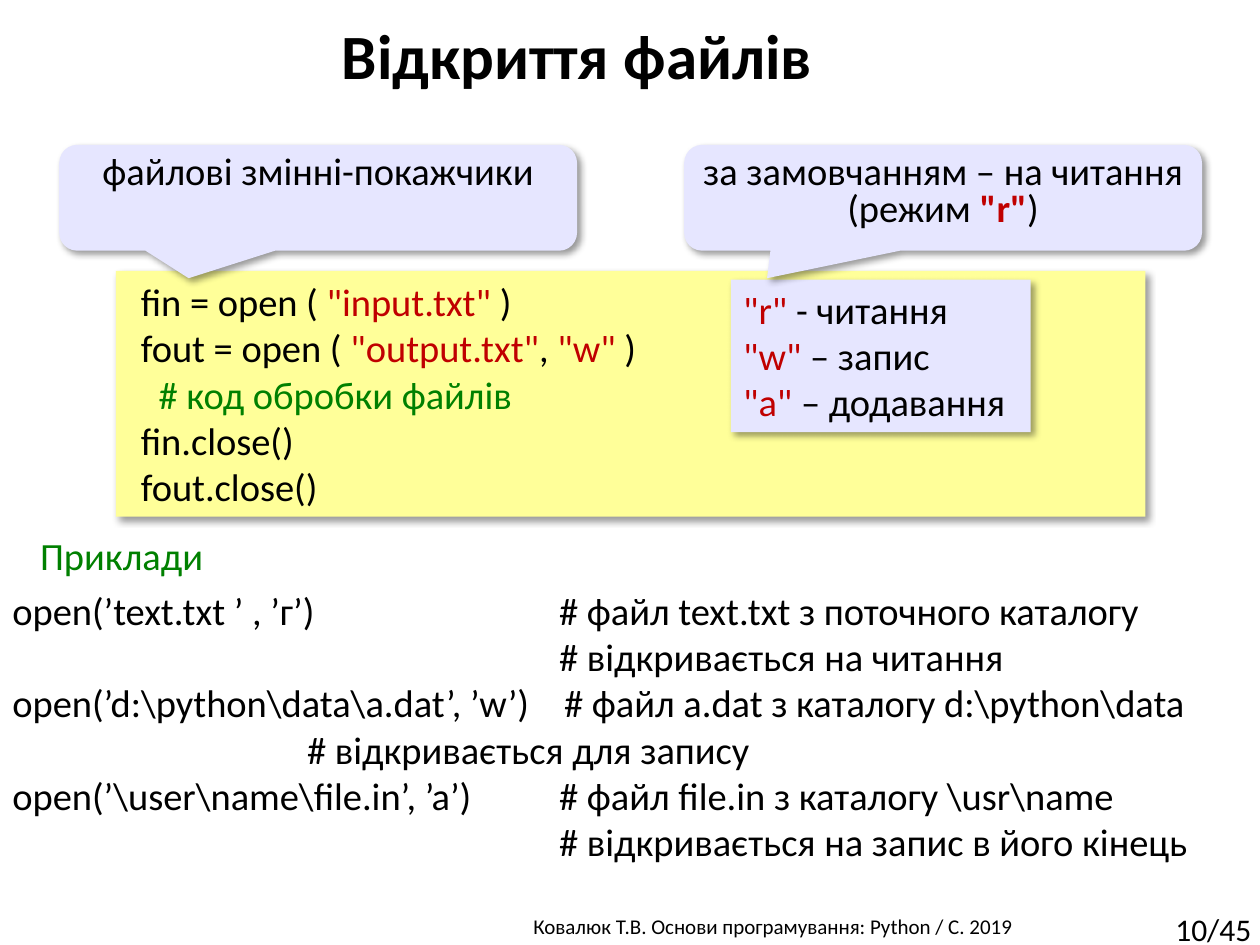
import pptx
import pptx.dml.color
import pptx.enum.shapes
import pptx.enum.text
import pptx.oxml.ns
import pptx.util
from lxml import etree

Inches = pptx.util.Inches
Pt = pptx.util.Pt
SHAPE = pptx.enum.shapes.MSO_SHAPE
ALIGN = pptx.enum.text.PP_ALIGN
ANCHOR = pptx.enum.text.MSO_ANCHOR
qn = pptx.oxml.ns.qn

COLORS = {
    "text": "000000",
    "literal": "C00000",
    "comment": "008000",
    "code": "FFFF99",
    "note": "E6E6FF",
    "paper": "FFFFFF",
}


def rgb(name):
    return pptx.dml.color.RGBColor.from_string(COLORS[name])


def write(box, lines, size=22, align=ALIGN.LEFT, anchor=ANCHOR.TOP,
          wrap=True, spacing=None, bold=False):
    frame = box.text_frame
    frame.word_wrap = wrap
    frame.vertical_anchor = anchor
    for number, runs in enumerate(lines):
        line = frame.add_paragraph() if number else frame.paragraphs[0]
        line.alignment = align
        line.line_spacing = spacing
        line.font.size = Pt(size)
        line.font.name = "Calibri"
        line.font.bold = bold
        tones = {tone for _, tone in runs}
        if len(tones) == 1:
            line.font.color.rgb = rgb(runs[0][1])
        for words, tone in runs:
            run = line.add_run()
            run.text = words
            if len(tones) > 1:
                run.font.color.rgb = rgb(tone)
    return frame.paragraphs


def add_label(slide, place, words, tone="text", **style):
    label = slide.shapes.add_textbox(*map(Inches, place))
    write(label, [[(words, tone)]], **style)


def add_panel(slide, kind, place, fill, shadow=True):
    panel = slide.shapes.add_shape(kind, *map(Inches, place))
    panel.fill.solid()
    panel.fill.fore_color.rgb = rgb(fill)
    panel.line.fill.background()
    panel.shadow.inherit = False
    if shadow:
        effects = panel._element.spPr.find(qn("a:effectLst"))
        outer = etree.SubElement(
            effects, qn("a:outerShdw"), blurRad=str(Pt(4)), dist=str(Pt(3)),
            dir=str(45 * 60000), algn="tl", rotWithShape="0")
        color = etree.SubElement(outer, qn("a:srgbClr"), val=COLORS["text"])
        etree.SubElement(color, qn("a:alpha"), val="40000")
    return panel


def add_callout(slide, left, tip, runs):
    callout = add_panel(slide, SHAPE.ROUNDED_RECTANGULAR_CALLOUT,
                        (left, 1.15, 4.11, 0.84), "note")
    callout.adjustments[0] = tip
    callout.adjustments[1] = 0.76
    callout.adjustments[2] = 0.17
    return write(callout, [runs], align=ALIGN.CENTER, spacing=0.8)


def set_indent(line, margin, first):
    properties = line._p.get_or_add_pPr()
    properties.set("marL", str(Inches(margin)))
    properties.set("indent", str(Inches(first)))


def set_tab(line, position):
    stops = etree.Element(qn("a:tabLst"))
    etree.SubElement(stops, qn("a:tab"), pos=str(Inches(position)), algn="l")
    properties = line._p.get_or_add_pPr()
    defaults = properties.find(qn("a:defRPr"))
    defaults.addprevious(stops)


def add_code(slide):
    code = add_panel(slide, SHAPE.RECTANGLE, (0.92, 2.15, 8.17, 1.95), "code")
    lines = write(code, [
        [("fin = open ( ", "text"), ('"input.txt" ', "literal"), (")", "text")],
        [("fout = open ( ", "text"), ('"output.txt"', "literal"),
         (", ", "text"), ('"w" ', "literal"), (")", "text")],
        [("# код обробки файлів", "comment")],
        [("fin.close()", "text")],
        [("fout.close()", "text")],
    ], align=ALIGN.JUSTIFY, anchor=ANCHOR.MIDDLE)
    for line in lines:
        set_indent(line, 0.2, -0.1)
    set_indent(lines[2], 0.24, 0)


def add_modes(slide):
    modes = add_panel(slide, SHAPE.RECTANGLE, (5.8, 2.22, 2.38, 1.21), "note")
    meanings = {'"r"': " - читання", '"w"': " – запис", '"a"': " – додавання"}
    write(modes, [[(mode, "literal"), (meaning, "text")]
                  for mode, meaning in meanings.items()], wrap=False)


def add_examples(slide):
    examples = [
        ("open(’text.txt ’ , ’г’)", "# файл text.txt з поточного каталогу", 4.34),
        ("", "# відкривається на читання", 4.34),
        ("open(’d:\\python\\data\\a.dat’, ’w’)",
         "# файл a.dat з каталогу d:\\python\\data", 4.38),
        ("", "# відкривається для запису", 2.34),
        ("open(’\\usеr\\name\\file.in’, ’a’)",
         "# файл file.in з каталогу \\usr\\name", 4.34),
        ("", "# відкривається на запис в його кінець", 4.34),
    ]
    panel = add_panel(slide, SHAPE.RECTANGLE, (0, 4.61, 10, 2.32), "paper",
                      shadow=False)
    lines = write(panel, [[(f"{call}\t{comment}", "text")]
                          for call, comment, _ in examples])
    for line, (_, _, position) in zip(lines, examples):
        set_tab(line, position)


def main():
    deck = pptx.Presentation()
    deck.slide_width = Inches(10)
    deck.slide_height = Inches(7.5)
    slide = deck.slides.add_slide(deck.slide_layouts[6])

    add_label(slide, (3.29, 7.2, 5.69, 0.3),
              "Ковалюк Т.В. Основи програмування: Python / C. 2019",
              size=12, align=ALIGN.CENTER)
    add_label(slide, (9.23, 7.17, 0.85, 0.4), "10/45", size=18, wrap=False)
    add_label(slide, (0, 0.21, 9.16, 0.52), "Відкриття файлів", size=36,
              align=ALIGN.CENTER, anchor=ANCHOR.MIDDLE, spacing=0.9, bold=True)
    add_code(slide)
    add_callout(slide, 0.47, -0.25, [("файлові змінні-покажчики", "text")])
    add_modes(slide)
    default_mode = add_callout(slide, 5.43, -0.34, [
        ("за замовчанням – на читання (режим ", "text"),
        ('"r"', "literal"), (")", "text")])
    default_mode[0].runs[1].font.bold = True
    add_examples(slide)
    add_label(slide, (0.22, 4.17, 1.51, 0.47), "Приклади", "comment", wrap=False)

    deck.save("out.pptx")


if __name__ == "__main__":
    main()
